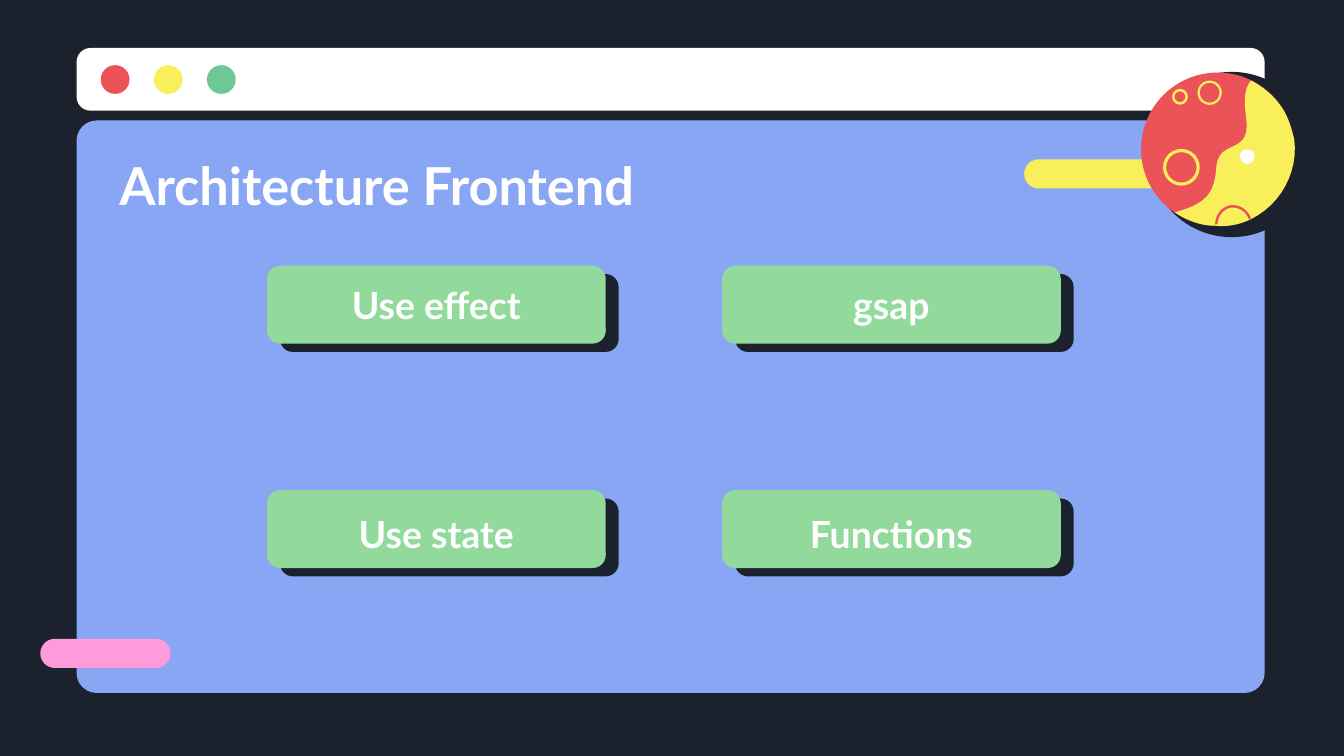
"""Build a browser-window slide with four labelled buttons and a planet."""
import dataclasses
import itertools
import typing

import pptx
import pptx.dml.color
import pptx.enum.shapes
import pptx.enum.text
import pptx.slide
import pptx.util

COLUMNS, ROWS = 1000, 562.5
CELL = pptx.util.Inches(10) // COLUMNS
COLORS = {
    "night": "1B222D", "window": "88A6F3", "white": "FFFFFF", "red": "EB5358",
    "yellow": "F8EF5B", "green": "6DC797", "button": "92D99C", "pink": "FF9BDA",
}
ROUNDED = pptx.enum.shapes.MSO_SHAPE.ROUNDED_RECTANGLE
OVAL = pptx.enum.shapes.MSO_SHAPE.OVAL
Point = tuple[float, float]
Curve = tuple[Point, Point, Point]


@dataclasses.dataclass(frozen=True)
class Panel:
    """Rounded rectangle measured in grid columns and rows."""
    left: float
    top: float
    width: float
    height: float
    color: str
    radius: float


@dataclasses.dataclass(frozen=True)
class Disc:
    """Circle measured in grid cells, drawn as a ring when it has a line width."""
    column: float
    row: float
    radius: float
    color: str
    line_width: float = 0


@dataclasses.dataclass(frozen=True)
class Button:
    """Labelled button in a two-by-two arrangement."""
    label: str
    column: int
    row: int


WINDOW = [Panel(57, 89.7, 884, 426, "window", 15), Panel(57, 35.7, 884, 46.7, "white", 10.4)]
PILLS = [Panel(762, 118.5, 108, 21.7, "yellow", 10.8), Panel(30, 475.3, 97, 21.7, "pink", 10.8)]
LIGHTS = [
    Disc(85.7 + 39.5 * index, 59.2, 10.7, color)
    for index, color in enumerate(("red", "yellow", "green"))
]
PLANET = [Disc(916.5, 115, 61.5, "night"), Disc(906, 111, 57, "red")]
CRATERS = [
    Disc(878, 72, 5, "yellow", 1.3),
    Disc(900, 69, 8.2, "yellow", 1.2),
    Disc(879, 124.5, 12.5, "yellow", 1.7),
    Disc(928, 116.5, 5.5, "white"),
]
LAND_START: Point = (931, 60)
LAND: list[Curve] = [
    ((940, 65), (949, 72), (955, 82)),
    ((958, 87), (961, 95), (963, 104)),
    ((966, 128), (953, 152), (931, 163)),
    ((923, 167), (914, 169), (904, 168)),
    ((893, 168), (883, 164), (874, 158)),
    ((897, 152), (904, 144), (905, 124)),
    ((907, 102), (932, 117), (927, 86)),
    ((925, 72), (927, 64), (931, 60)),
]
RIM_START: Point = (905, 167)
RIM: list[Curve] = [((905, 162), (908, 156), (914, 154)), ((920, 152), (928, 156), (930, 163))]
BUTTONS = [
    Button("Use effect", 0, 0), Button("gsap", 1, 0),
    Button("Use state", 0, 1), Button("Functions", 1, 1),
]


def cells(count: float) -> pptx.util.Emu:
    return pptx.util.Emu(round(count * CELL))


def rgb(name: str) -> pptx.dml.color.RGBColor:
    return pptx.dml.color.RGBColor.from_string(COLORS[name])


def paint(shape: typing.Any, color: str, line_width: float = 0) -> None:
    shape.shadow.inherit = False
    if line_width:
        shape.fill.background()
        shape.line.color.rgb = rgb(color)
        shape.line.width = pptx.util.Pt(line_width)
    else:
        shape.fill.solid()
        shape.fill.fore_color.rgb = rgb(color)
        shape.line.fill.background()


def add_panel(slide: pptx.slide.Slide, panel: Panel) -> None:
    box = map(cells, (panel.left, panel.top, panel.width, panel.height))
    shape = slide.shapes.add_shape(ROUNDED, *box)
    shape.adjustments[0] = panel.radius / panel.height
    paint(shape, panel.color)


def add_disc(slide: pptx.slide.Slide, disc: Disc) -> None:
    size = cells(2 * disc.radius)
    left, top = cells(disc.column - disc.radius), cells(disc.row - disc.radius)
    paint(slide.shapes.add_shape(OVAL, left, top, size, size), disc.color, disc.line_width)


def curve_points(start: Point, curves: list[Curve], steps: int = 12) -> list[Point]:
    points = []
    for first, second, end in curves:
        for step in range(1, steps + 1):
            share = step / steps
            rest = 1 - share
            points.append(tuple(
                cells(rest**3 * a + 3 * rest**2 * share * b + 3 * rest * share**2 * c + share**3 * d)
                for a, b, c, d in zip(start, first, second, end)
            ))
        start = end
    return points


def add_curve(slide: pptx.slide.Slide, start: Point, curves: list[Curve], color: str,
              line_width: float = 0) -> None:
    builder = slide.shapes.build_freeform(*map(cells, start))
    builder.add_line_segments(curve_points(start, curves), close=not line_width)
    paint(builder.convert_to_shape(), color, line_width)


def add_text(slide: pptx.slide.Slide, text: str, *, left: float, top: float, width: float,
             height: float, size: float, centered: bool = False) -> None:
    shape = slide.shapes.add_textbox(*map(cells, (left, top, width, height)))
    frame = shape.text_frame
    frame.word_wrap = True
    frame.vertical_anchor = pptx.enum.text.MSO_ANCHOR.MIDDLE
    frame.margin_left = frame.margin_right = frame.margin_top = frame.margin_bottom = cells(10)
    paragraph = frame.paragraphs[0]
    alignment = pptx.enum.text.PP_ALIGN
    paragraph.alignment = alignment.CENTER if centered else alignment.LEFT
    run = paragraph.add_run()
    run.text = text
    run.font.name = "Lato"
    run.font.size = pptx.util.Pt(size)
    run.font.bold = True
    run.font.color.rgb = rgb("white")


def add_button(slide: pptx.slide.Slide, button: Button) -> None:
    left, top = 198.7 + 338.6 * button.column, 197.7 + 167 * button.row
    add_panel(slide, Panel(left + 9.6, top + 6.2, 252, 58, "night", 9.7))
    add_panel(slide, Panel(left, top, 252, 58, "button", 9.7))
    add_text(slide, button.label, left=left + 38, top=top + 3 * button.row,
             width=176, height=58, size=20, centered=True)


def main() -> None:
    presentation = pptx.Presentation()
    presentation.slide_width, presentation.slide_height = cells(COLUMNS), cells(ROWS)
    slide = presentation.slides.add_slide(presentation.slide_layouts[6])
    slide.background.fill.solid()
    slide.background.fill.fore_color.rgb = rgb("night")
    for panel in itertools.chain(WINDOW, PILLS):
        add_panel(slide, panel)
    for disc in itertools.chain(LIGHTS, PLANET):
        add_disc(slide, disc)
    add_curve(slide, LAND_START, LAND, "yellow")
    add_curve(slide, RIM_START, RIM, "red", 1.3)
    for crater in CRATERS:
        add_disc(slide, crater)
    add_text(slide, "Architecture Frontend", left=79, top=106, width=533, height=62, size=28)
    for button in BUTTONS:
        add_button(slide, button)
    presentation.save("out.pptx")


if __name__ == "__main__":
    main()
